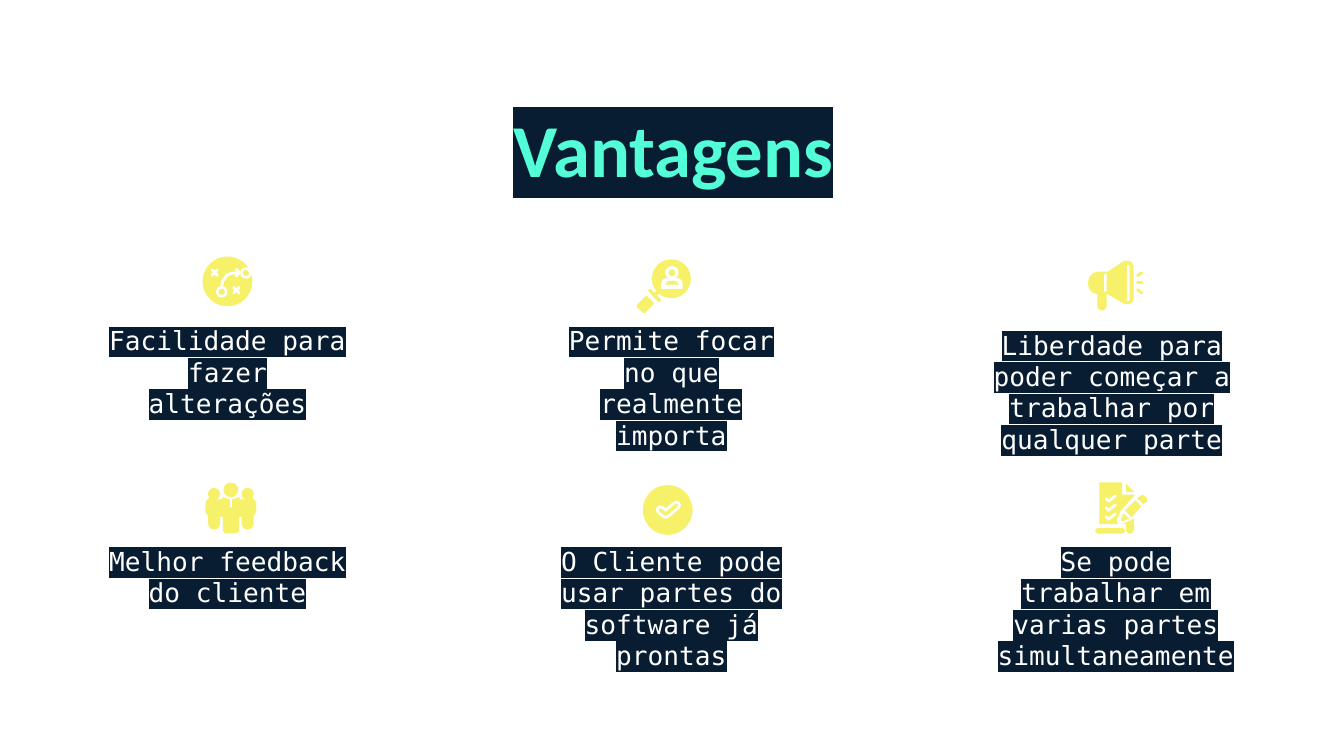
from dataclasses import dataclass

from lxml import etree
from pptx import Presentation
from pptx.dml.color import RGBColor
from pptx.enum.shapes import MSO_SHAPE
from pptx.enum.text import MSO_ANCHOR, MSO_AUTO_SIZE, PP_ALIGN
from pptx.oxml.ns import qn
from pptx.util import Cm, Pt

OVAL, RECT, ROUND = MSO_SHAPE.OVAL, MSO_SHAPE.RECTANGLE, MSO_SHAPE.ROUNDED_RECTANGLE
DOME = MSO_SHAPE.ROUND_2_SAME_RECTANGLE
CENTER, TOP, NO_FIT = PP_ALIGN.CENTER, MSO_ANCHOR.TOP, MSO_AUTO_SIZE.NONE
POLY = "polygon"


@dataclass(frozen=True)
class Theme:
    title_font: str = "Calibri"
    body_font: str = "DejaVu Sans Mono"
    title_size: int = 40
    body_size: int = 14
    mint: str = "53FDD8"
    white: str = "FFFFFF"
    navy: str = "081D32"
    yellow: str = "F7F169"


theme = Theme()
Y, W = theme.yellow, theme.white
UNIT = 0.0254  # icon grid step in cm


def write(sp, box, text, font, size, color, side_inset):
    """Place a placeholder and fill it with one highlighted paragraph."""
    sp.left, sp.top, sp.width, sp.height = [Cm(v) for v in box]
    tf = sp.text_frame
    tf.word_wrap, tf.auto_size, tf.vertical_anchor = True, NO_FIT, TOP
    tf.margin_left = tf.margin_right = Cm(side_inset)
    tf.margin_top = tf.margin_bottom = Cm(0.25)
    p = tf.paragraphs[0]
    p.alignment, p.line_spacing, p.space_before = CENTER, 1.0, Pt(0)
    r = p.add_run()
    r.text = text
    r.font.size = Pt(size)
    r.font.color.rgb = RGBColor.from_string(color)
    highlight = etree.SubElement(r._r.get_or_add_rPr(), qn("a:highlight"))
    etree.SubElement(highlight, qn("a:srgbClr")).set("val", theme.navy)
    r.font.name = font
    return p, r


def draw(group, left, top, kind, data, color):
    """Add one icon part: a preset, a polygon, or a stroke whose kind is its width."""
    rgb = RGBColor.from_string(color)
    if kind in (OVAL, RECT, ROUND, DOME):
        x, y, w, h = [v * UNIT for v in data]
        sp = group.shapes.add_shape(kind, Cm(left + x), Cm(top + y), Cm(w), Cm(h))
        if kind in (ROUND, DOME):
            sp.adjustments[0] = 0.5
    else:
        points = [(Cm(left + x * UNIT), Cm(top + y * UNIT)) for x, y in data]
        builder = group.shapes.build_freeform(*points[0])
        builder.add_line_segments(points[1:], close=kind == POLY)
        sp = builder.convert_to_shape()
    sp.shadow.inherit = False
    if isinstance(kind, float):
        sp.fill.background()
        sp.line.color.rgb = rgb
        sp.line.width = Pt(kind)
        ln = sp.element.spPr.find(qn("a:ln"))
        ln.set("cap", "rnd")
        etree.SubElement(ln, qn("a:round"))
    else:
        sp.fill.solid()
        sp.fill.fore_color.rgb = rgb
        sp.line.fill.background()


prs = Presentation()
prs.slide_width, prs.slide_height = Cm(25.4), Cm(14.29)
layout = prs.slide_layouts[1]
s = prs.slides.add_slide(layout)

# Title
p, r = write(s.shapes.title, (2.02, 1.7, 21.41, 1.6), "Vantagens",
             theme.title_font, theme.title_size, theme.mint, 0.25)
r.font.bold = True

# Advantages: left, top, width, text
advantages = [
    (2, 5.89, 4.6, "Facilidade para fazer alterações"),
    (10.39, 5.89, 4.6, "Permite focar no que realmente importa"),
    (18.54, 5.97, 4.95, "Liberdade para poder começar a trabalhar por qualquer parte"),
    (2, 10.06, 4.6, "Melhor feedback do cliente"),
    (10.39, 10.06, 4.6, "O Cliente pode usar partes do software já prontas"),
    (18.79, 10.06, 4.6, "Se pode trabalhar em varias partes simultaneamente"),
]
for i, (left, top, width, text) in enumerate(advantages):
    if i:
        s.shapes.clone_placeholder(layout.placeholders[1])
    p, r = write(s.shapes[-1], (left, top, width, 2.31), text,
                 theme.body_font, theme.body_size, theme.white, 0)
    p.space_after = Pt(16)
    pPr = p._p.get_or_add_pPr()
    pPr.set("marL", "0")
    pPr.set("indent", "0")
    etree.SubElement(pPr, qn("a:buNone"))

# Icons: left and top in cm, then parts on the icon grid
strategy = [
    (OVAL, (0, 0, 37, 37), Y),
    *[(1.5, line, W) for x, y in ((7, 10), (23, 23))
      for line in ([(x, y), (x + 4, y + 4)], [(x, y + 4), (x + 4, y)])],
    (1.5, [(14, 23), (15, 18), (18, 14), (21, 12.5), (27, 12)], W),
    (1.5, [(25, 9.5), (27.5, 12), (25, 14.5)], W),
    *[part for x, y in ((10, 22), (28, 8))
      for part in ((OVAL, (x, y, 8.5, 8.5), W), (OVAL, (x + 2, y + 2, 4.5, 4.5), Y))],
]
magnifier = [
    (OVAL, (11, 0, 29, 29), Y),
    (DOME, (18, 14, 16, 8), W),
    (OVAL, (21, 5, 10, 10), W),
    (OVAL, (23.5, 7.5, 5, 5), Y),
    (POLY, [(21, 19), (23, 16.5), (26, 16), (29, 16.5), (31, 19)], Y),
    (POLY, [(8, 23), (10, 22), (13, 25), (15, 23), (17, 25), (15, 27), (18, 30),
            (17, 32), (16, 32), (12, 28)], Y),
    (POLY, [(7, 27), (13, 33), (6, 40), (5, 40), (0, 36), (0, 34)], Y),
]
megaphone = [
    (POLY, [(15, 8), (27, 0), (31, 0), (33, 1.5), (34, 4), (34, 29), (33, 31), (31, 32),
            (27, 32), (15, 25), (8, 25), (4, 24), (1, 21), (0, 17), (1, 12), (4, 9),
            (8, 8)], Y),
    (ROUND, (7, 20, 7, 17), Y),
    (RECT, (12, 10, 2, 13), W),
    (ROUND, (29, 3, 2, 27), W),
    *[(1.6, [(37, y), (40, end)], Y) for y, end in ((11, 9), (16.3, 16.3), (21.5, 24))],
]
team = [
    (OVAL, (13.5, 0, 11, 11), Y),
    *[(kind, (x, y, w, h), Y) for kind, y, w, h in
      ((OVAL, 4, 9, 9), (ROUND, 11, 11, 15), (ROUND, 14, 9, 21))
      for x in (11 - w, 27)],
    (POLY, [(13, 11), (19, 13), (25, 11), (26, 13), (28, 12), (28, 25), (25, 26), (25, 36),
            (23, 38), (15, 38), (13, 36), (13, 26), (10, 25), (10, 12), (12, 13)], Y),
    (1.4, [(19, 12.5), (19, 18)], W),
]
tick = [(13, 18.5), (17, 21.7), (25, 15)]
approval = [(OVAL, (0, 0, 37, 37), Y), (4.9, tick, W), (1.9, tick, Y)]
checklist = [
    (POLY, [(3, 0), (20, 0), (20, 9), (29, 9), (29, 10), (19, 21), (16, 28), (17, 31),
            (20, 31), (29, 27), (29, 35), (27, 38), (25, 38), (23, 36), (23, 31), (3, 31)], Y),
    *[(1.5, [(8, y), (10, y + 2), (15, y - 2)], W) for y in (12, 18.7, 25.4)],
    (POLY, [(23, 1), (23, 7), (29, 7)], Y),
    (POLY, [(30, 13), (22, 21), (27, 26), (34, 18)], Y),
    (POLY, [(31, 12), (35, 9), (38, 11), (39, 14), (36, 16)], Y),
    (POLY, [(21, 23), (25, 27), (20, 29), (19, 28)], Y),
    (ROUND, (0, 34, 22, 4), Y),
]
icons = [
    (3.83, 4.85, strategy), (12.04, 4.9, magnifier), (20.56, 4.93, megaphone),
    (3.88, 9.12, team), (12.15, 9.17, approval), (20.7, 9.12, checklist),
]
for left, top, parts in icons:
    group = s.shapes.add_group_shape()
    for part in parts:
        draw(group, left, top, *part)

prs.save("out.pptx")
